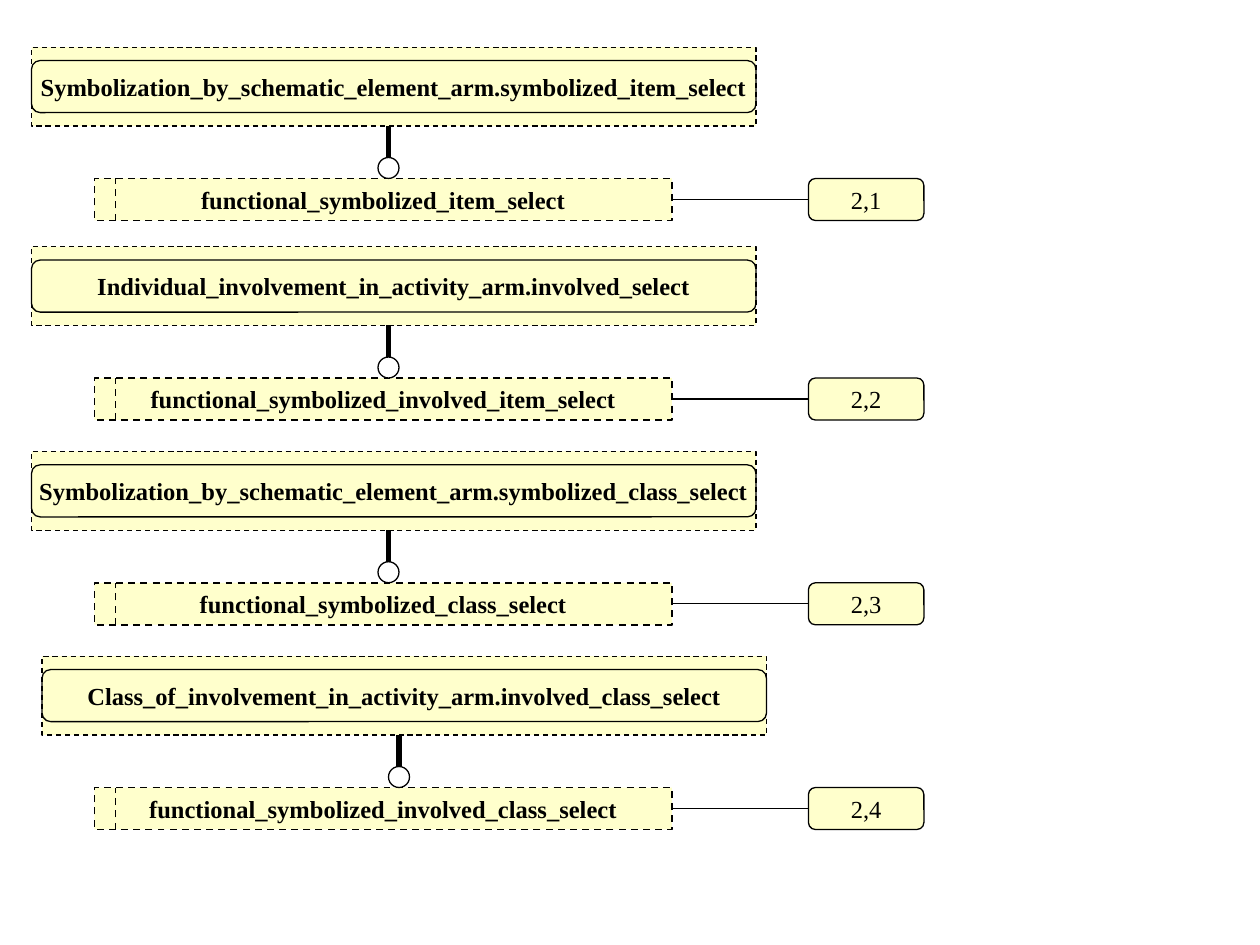
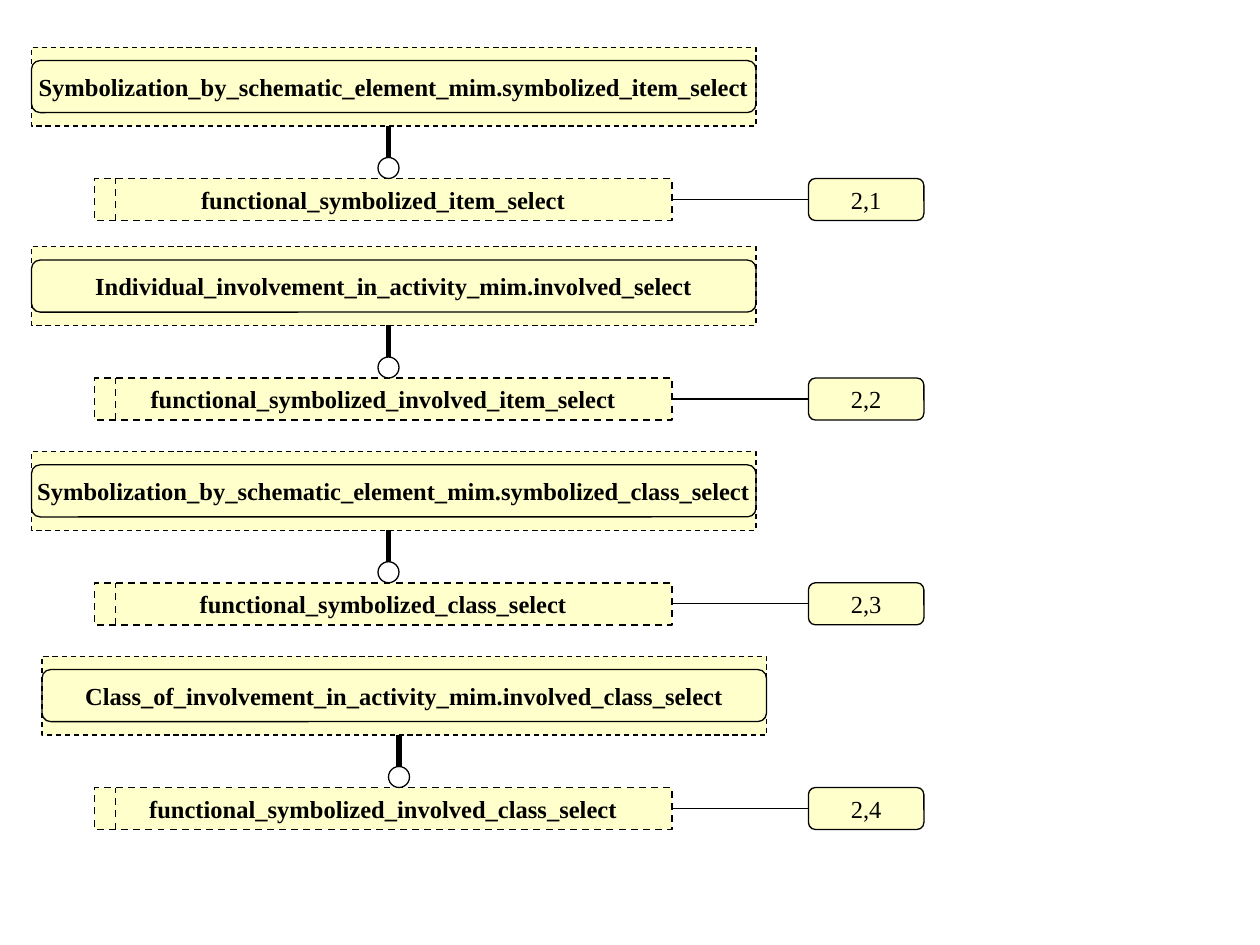
from lxml.etree import SubElement
from pptx import Presentation
from pptx.dml.color import RGBColor
from pptx.enum.dml import MSO_LINE
from pptx.enum.shapes import MSO_CONNECTOR, MSO_SHAPE
from pptx.enum.text import MSO_ANCHOR, PP_ALIGN
from pptx.oxml.ns import qn
from pptx.util import Pt

SCHEMAS = ("arm", "mim")
# name of the used type, name of the select, page reference, left, top
SELECTS = [
    ("Symbolization_by_schematic_element_{}.symbolized_item_select",
     "functional_symbolized_item_select", "2,1", 18, 27),
    ("Individual_involvement_in_activity_{}.involved_select",
     "functional_symbolized_involved_item_select", "2,2", 18, 141),
    ("Symbolization_by_schematic_element_{}.symbolized_class_select",
     "functional_symbolized_class_select", "2,3", 18, 258),
    ("Class_of_involvement_in_activity_{}.involved_class_select",
     "functional_symbolized_involved_class_select", "2,4", 24, 375),
]
BLACK, WHITE, CREAM = "000000", "FFFFFF", "FFFFCC"
FONT, TEXT_SIZE = "Times New Roman", 14
THIN, MEDIUM, THICK = 0.74, 0.99, 3
USED_WIDTH, USED_HEIGHT, INNER_HEIGHT = 414, 45, 29.75
STEM_OFFSET, STEM_LENGTH, BALL = 204, 18, 12
SELECT_LEFT, SELECT_WIDTH, SELECT_HEIGHT, BAR_OFFSET = 54, 330, 24, 12
REFERENCE_LEFT, REFERENCE_WIDTH = 462, 66


def color(value):
    """Turn a hex string into a colour."""
    return RGBColor.from_string(value)


def set_line(item, width, dashed):
    """Give a shape or connector its black line."""
    item.line.color.rgb = color(BLACK)
    item.line.width = Pt(width)
    if dashed:
        item.line.dash_style = MSO_LINE.DASH


def write(box, text, size=TEXT_SIZE, bold=False):
    """Write one centred line of text in a box."""
    frame = box.text_frame
    frame.word_wrap = False
    frame.vertical_anchor = MSO_ANCHOR.MIDDLE
    para = frame.paragraphs[0]
    para.alignment = PP_ALIGN.CENTER
    span = para.add_run()
    span.text = text
    span.font.name = FONT
    span.font.size = Pt(size)
    span.font.bold = bold
    span.font.color.rgb = color(BLACK)


def add_box(parent, kind, left, top, width, height, fill=None, line=THIN, dashed=False):
    """Add an outlined shape, hollow unless a fill is given."""
    box = parent.shapes.add_shape(kind, Pt(left), Pt(top), Pt(width), Pt(height))
    box.shadow.inherit = False
    if fill:
        box.fill.solid()
        box.fill.fore_color.rgb = color(fill)
    else:
        box.fill.background()
    set_line(box, line, dashed)
    return box


def add_line(parent, start, end, width=THIN, dashed=False):
    """Add a straight line between two points."""
    line = parent.shapes.add_connector(
        MSO_CONNECTOR.STRAIGHT, *(Pt(value) for value in start + end))
    set_line(line, width, dashed)
    SubElement(line.element.spPr, qn("a:effectLst"))


def add_select(page, name, reference, top):
    """Draw a select type and the page reference that it leads to."""
    group = page.shapes.add_group_shape()
    box = add_box(group, MSO_SHAPE.RECTANGLE, SELECT_LEFT, top,
                  SELECT_WIDTH, SELECT_HEIGHT, CREAM, MEDIUM, dashed=True)
    write(box, name, bold=True)
    bar = SELECT_LEFT + BAR_OFFSET
    add_line(group, (bar, top + SELECT_HEIGHT), (bar, top), MEDIUM, dashed=True)
    target = add_box(page, MSO_SHAPE.ROUNDED_RECTANGLE, REFERENCE_LEFT, top,
                     REFERENCE_WIDTH, SELECT_HEIGHT, CREAM)
    write(target, reference)
    middle = top + SELECT_HEIGHT / 2
    add_line(page, (SELECT_LEFT + SELECT_WIDTH, middle), (REFERENCE_LEFT, middle))


def add_used_type(page, name, left, top):
    """Draw a type used from another schema with its stem and ball."""
    group = page.shapes.add_group_shape()
    outer = add_box(group, MSO_SHAPE.RECTANGLE, left, top,
                    USED_WIDTH, USED_HEIGHT, CREAM, dashed=True)
    write(outer, name, bold=True)
    add_box(group, MSO_SHAPE.ROUNDED_RECTANGLE, left,
            top + (USED_HEIGHT - INNER_HEIGHT) / 2, USED_WIDTH, INNER_HEIGHT)
    stem = left + STEM_OFFSET
    bottom = top + USED_HEIGHT
    ball_top = bottom + STEM_LENGTH
    add_box(page, MSO_SHAPE.OVAL, stem - BALL / 2, ball_top, BALL, BALL, WHITE)
    add_line(page, (stem, ball_top), (stem, bottom), THICK)


deck = Presentation()
deck.slide_width, deck.slide_height = Pt(720), Pt(540)
for schema in SCHEMAS:
    page = deck.slides.add_slide(deck.slide_layouts[6])
    for used, select, reference, left, top in SELECTS:
        add_select(page, select, reference, top + USED_HEIGHT + STEM_LENGTH + BALL)
        add_used_type(page, used.format(schema), left, top)
deck.save("out.pptx")
